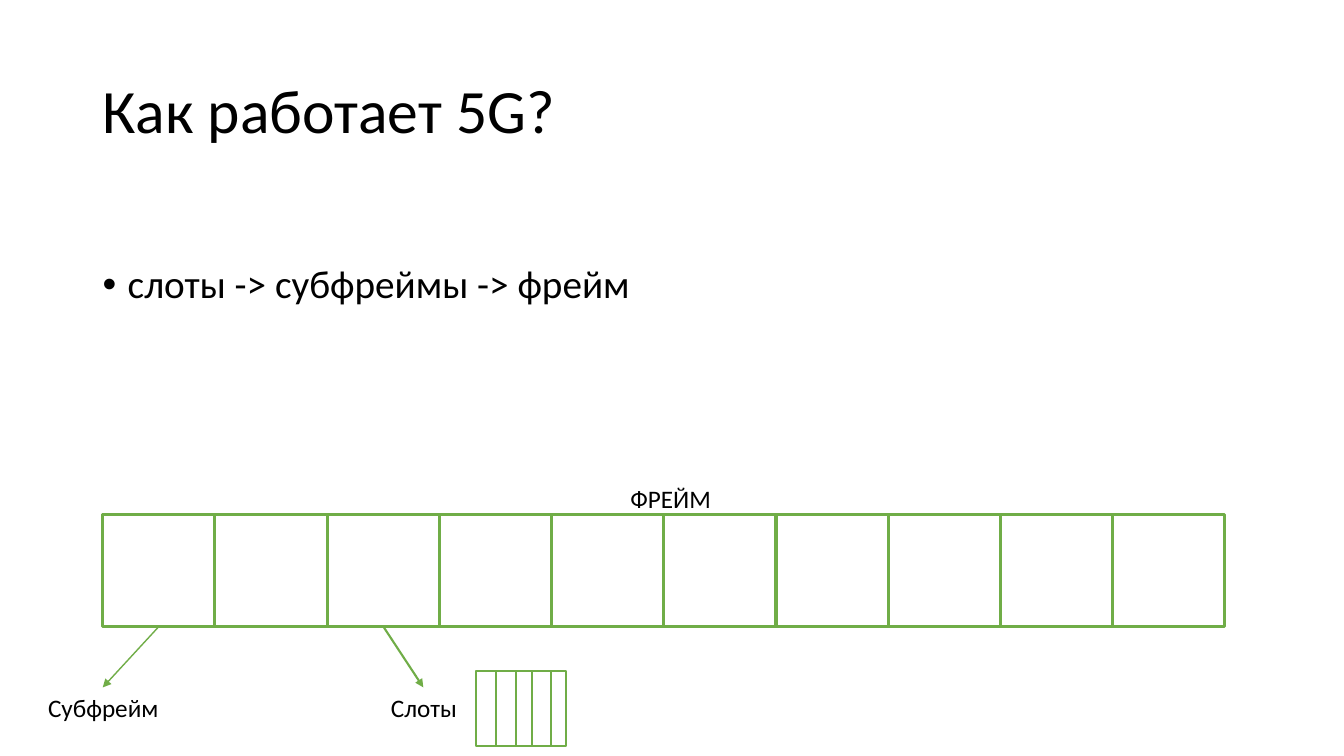
from lxml import etree
from pptx import Presentation
from pptx.dml.color import RGBColor
from pptx.enum import shapes, text
from pptx.oxml import ns
from pptx.util import Pt

TITLE = "Как работает 5G?"
POINT = "слоты -> субфреймы -> фрейм"
LABELS = [
    ("ФРЕЙМ", 393.8, 342, 170.6),
    ("Субфрейм", 13.7, 491, 120.2),
    ("Слоты", 243.4, 491, 118.8),
]
FRAME = {"left": 73.4, "top": 367.4, "size": 80.16, "count": 10}
ARROWS = [(0, 73.4, 1), (2, 302.4, 1.5)]
ARROW_END = 491
SLOTS = {"left": 339.8, "top": 479, "width": 64.8, "height": 53.6}
CUTS = [354.2, 368.6, 380.2, 393.8]
GREEN, WHITE, BLACK = "70AD47", "FFFFFF", "000000"


def color(code):
    return RGBColor.from_string(code)


def child(parent, tag, **attrs):
    return etree.SubElement(parent, ns.qn(tag), attrs)


def write(frame, words, size, align, anchor):
    frame.word_wrap = True
    frame.vertical_anchor = anchor
    frame.text = words
    para = frame.paragraphs[0]
    para.alignment = align
    para.font.size = Pt(size)
    para.font.name = "Calibri"
    para.font.color.rgb = color(BLACK)
    return para


def add_text(slide, words, box, size, align):
    label = slide.shapes.add_textbox(*map(Pt, box))
    return write(label.text_frame, words, size, align, text.MSO_ANCHOR.TOP)


def add_box(slide, left, top, width, height, weight):
    box = slide.shapes.add_shape(
        shapes.MSO_SHAPE.RECTANGLE, Pt(left), Pt(top), Pt(width), Pt(height))
    box.shadow.inherit = False
    box.fill.solid()
    box.fill.fore_color.rgb = color(WHITE)
    box.line.color.rgb = color(GREEN)
    box.line.width = Pt(weight)


def add_line(slide, start, end, weight, arrow=False):
    line = slide.shapes.add_connector(
        shapes.MSO_CONNECTOR.STRAIGHT, *map(Pt, start + end))
    line.line.color.rgb = color(GREEN)
    line.line.width = Pt(weight)
    if arrow:
        child(line.line._get_or_add_ln(), "a:tailEnd", type="triangle")
    child(line._element.spPr, "a:effectLst")


def add_point(slide):
    para = add_text(slide, POINT, (66.2, 185.8, 828, 300), 28, text.PP_ALIGN.LEFT)
    para.line_spacing = 0.9
    para.space_before = Pt(10)
    props = para._p.get_or_add_pPr()
    props.set("marL", str(Pt(18)))
    props.set("indent", str(Pt(-18)))
    font = props.find(ns.qn("a:defRPr"))
    for tag, attrs in [("a:buFont", {"typeface": "Arial"}), ("a:buChar", {"char": "•"})]:
        font.addprevious(child(props, tag, **attrs))


def main():
    deck = Presentation()
    deck.slide_width, deck.slide_height = Pt(960), Pt(540)
    slide = deck.slides.add_slide(deck.slide_layouts[5])

    title = slide.shapes.title
    title.left, title.top, title.width, title.height = map(Pt, (66.2, 28.8, 828, 104.4))
    para = write(title.text_frame, TITLE, 44, text.PP_ALIGN.LEFT, text.MSO_ANCHOR.MIDDLE)
    para.line_spacing = 0.9
    add_point(slide)

    left, top, size = FRAME["left"], FRAME["top"], FRAME["size"]
    for i in range(FRAME["count"]):
        add_box(slide, left + i * size, top, size, size, 2.25)
    for words, x, y, width in LABELS:
        add_text(slide, words, (x, y, width, 29), 18, text.PP_ALIGN.CENTER)
    for i, end, weight in ARROWS:
        start = (left + (i + 0.5) * size, top + size)
        add_line(slide, start, (end, ARROW_END), weight, True)

    add_box(slide, *SLOTS.values(), 1.5)
    for x in CUTS:
        add_line(slide, (x, SLOTS["top"]), (x, SLOTS["top"] + SLOTS["height"]), 1.5)

    deck.save("out.pptx")


if __name__ == "__main__":
    main()
